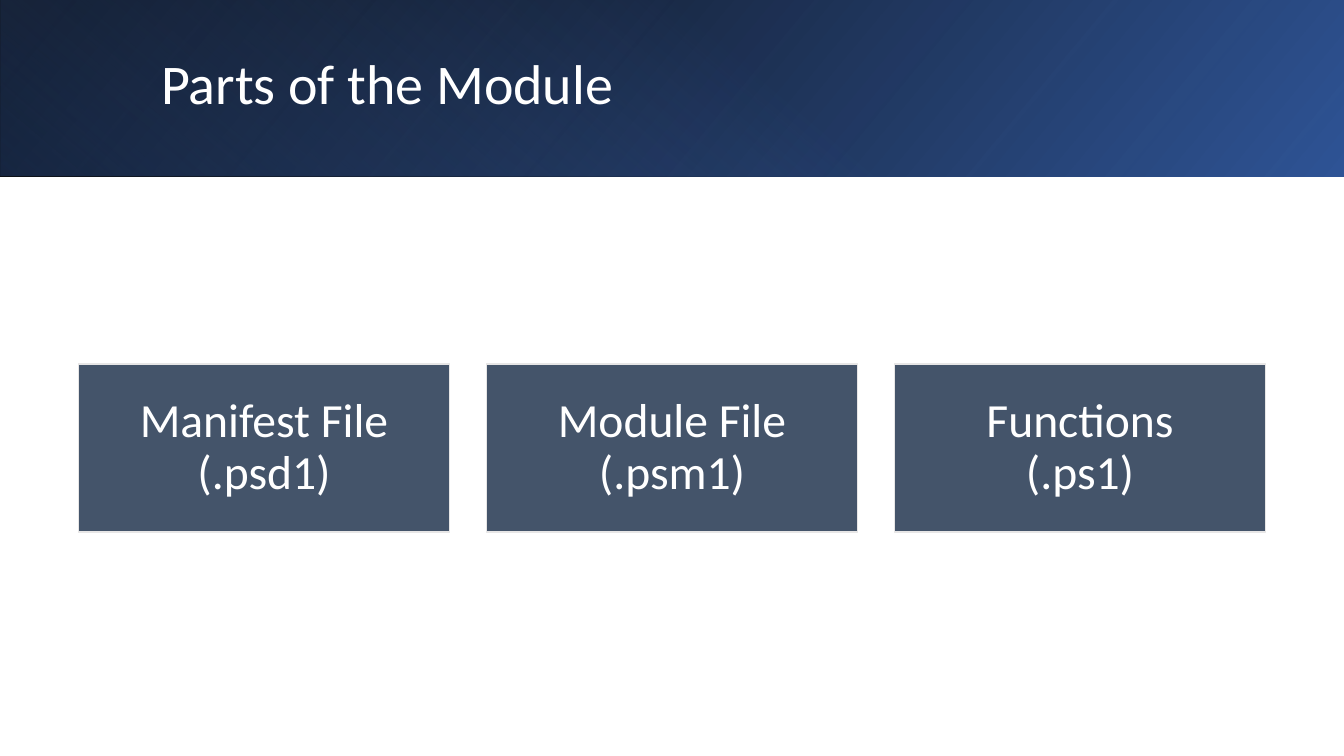
from lxml import etree
from pptx import Presentation
from pptx import util as u
from pptx.dml.color import RGBColor
from pptx.enum import shapes, text
from pptx.oxml.ns import qn

FONT = "Calibri"
WHITE, SLATE, PALE = "FFFFFF", "44546A", "E7E6E6"
PARTS = ["Manifest File\v(.psd1)", "Module File\n(.psm1)", "Functions\n(.ps1)"]


def rgb(value):
    return RGBColor.from_string(value)


def add_rect(s, left, top, width, height):
    sp = s.shapes.add_shape(shapes.MSO_SHAPE.RECTANGLE, u.Inches(left), u.Inches(top),
                            u.Inches(width), u.Inches(height))
    sp.shadow.inherit = False
    return sp


def set_gradient(sp, stops, angle):
    """Fill with (position %, colour, opacity %) stops, mirrored left to right."""
    sp.line.fill.background()
    sp.fill.gradient()
    grad = sp._element.spPr.find(qn("a:gradFill"))
    grad.set("rotWithShape", "1")
    for child in list(grad):
        grad.remove(child)
    stop_list = etree.SubElement(grad, qn("a:gsLst"))
    for position, colour, opacity in stops:
        stop = etree.SubElement(stop_list, qn("a:gs"), pos=str(position * 1000))
        clr = etree.SubElement(stop, qn("a:srgbClr"), val=colour)
        etree.SubElement(clr, qn("a:alpha"), val=str(opacity * 1000))
    etree.SubElement(grad, qn("a:lin"), ang=str(angle * 60000), scaled="0")
    sp._element.spPr.find(qn("a:xfrm")).set("flipH", "1")


def write(sp, content, size, colour=WHITE, align=text.PP_ALIGN.LEFT, inset=(0.1, 0.05)):
    tf = sp.text_frame
    tf.word_wrap = True
    tf.vertical_anchor = text.MSO_ANCHOR.MIDDLE
    tf.margin_left = tf.margin_right = u.Inches(inset[0])
    tf.margin_top = tf.margin_bottom = u.Inches(inset[1])
    tf.text = content
    for p in tf.paragraphs:
        p.alignment = align
        p.line_spacing = 0.9
        for r in p.runs:
            r.font.name = FONT
            r.font.size = u.Pt(size)
            r.font.color.rgb = rgb(colour)


def add_header(s, left, top, width, height, title):
    band = add_rect(s, left, top, width, height)
    set_gradient(band, [(0, "000000", 96), (100, "2F5496", 100)], 140)
    tint = add_rect(s, left, top, 8.88, height - 0.01)
    set_gradient(tint, [(0, "4472C4", 0), (20, "4472C4", 0), (100, "1F3864", 55)], 230)
    tint.rotation = 180
    box = s.shapes.add_textbox(u.Inches(left + 1.5), u.Inches(top + 0.38),
                               u.Inches(10.98), u.Inches(0.96))
    write(box, title, 40)


def add_cards(s, left, top, width, height, labels, gap=0.37):
    """Share the width equally between the labelled cards."""
    card_width = (width - gap * (len(labels) - 1)) / len(labels)
    for i, label in enumerate(labels):
        card = add_rect(s, left + i * (card_width + gap), top, card_width, height)
        card.fill.solid()
        card.fill.fore_color.rgb = rgb(SLATE)
        card.line.color.rgb = rgb(PALE)
        card.line.width = u.Pt(1)
        write(card, label, 34, align=text.PP_ALIGN.CENTER, inset=(0.14, 0.14))


def main():
    prs = Presentation()
    prs.slide_width, prs.slide_height = u.Inches(13.33), u.Inches(7.5)
    s = prs.slides.add_slide(prs.slide_layouts[6])
    add_header(s, 0, 0, 13.33, 1.75, "Parts of the Module")
    add_cards(s, 0.78, 3.61, 11.77, 1.67, PARTS)
    prs.save("out.pptx")


if __name__ == "__main__":
    main()
